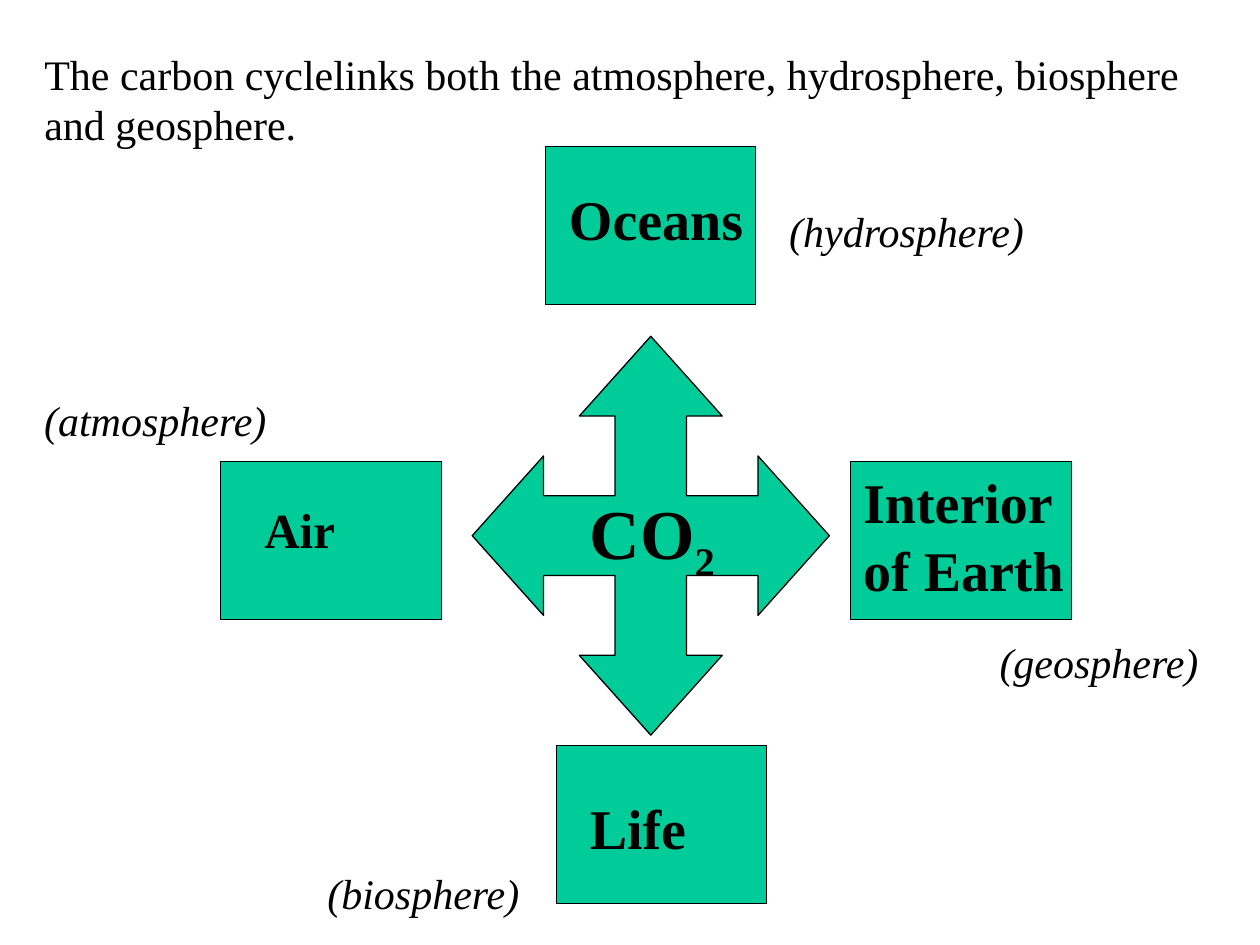
import pptx
import pptx.util
import pptx.dml.color
import pptx.enum.text
from pptx.util import Cm, Pt

COLOURS = {"green": "00CC99", "black": "000000"}
FONT = "Times New Roman"


def paint(shape):
    shape.shadow.inherit = False
    shape.fill.solid()
    shape.fill.fore_color.rgb = pptx.dml.color.RGBColor.from_string(COLOURS["green"])
    shape.line.color.rgb = pptx.dml.color.RGBColor.from_string(COLOURS["black"])
    shape.line.width = Pt(0.75)


def write(box, text, size, bold=False, italic=False):
    """Fill a text box or placeholder with one left-aligned paragraph and return it."""
    frame = box.text_frame
    frame.word_wrap = True
    frame.auto_size = pptx.enum.text.MSO_AUTO_SIZE.NONE
    frame.vertical_anchor = pptx.enum.text.MSO_ANCHOR.TOP
    paragraph = frame.paragraphs[0]
    paragraph.text = text
    paragraph.alignment = pptx.enum.text.PP_ALIGN.LEFT
    paragraph.font.name = FONT
    paragraph.font.size = Pt(size)
    paragraph.font.bold = bold
    paragraph.font.italic = italic
    paragraph.font.color.rgb = pptx.dml.color.RGBColor.from_string(COLOURS["black"])
    return paragraph


presentation = pptx.Presentation()
presentation.slide_width, presentation.slide_height = Cm(25.4), Cm(19.05)
slide = presentation.slides.add_slide(presentation.slide_layouts[5])
shapes = slide.shapes

statement = shapes.title
statement.left, statement.top = Cm(0.64), Cm(0.85)
statement.width, statement.height = Cm(23.92), Cm(2.29)
write(statement, "The carbon cyclelinks both the atmosphere, hydrosphere, "
      "biosphere and geosphere.", 24)

# Reservoirs: left, top, width
for left, top, width in [(4.45, 9.31, 4.45), (11, 2.96, 4.23),
                         (17.15, 9.31, 4.45), (11.22, 15.03, 4.23)]:
    paint(shapes.add_shape(pptx.enum.shapes.MSO_SHAPE.RECTANGLE,
                           Cm(left), Cm(top), Cm(width), Cm(3.18)))

# Reservoir names: text, left, top, width, height, size
for name, left, top, width, height, size in [
        ("Oceans", 11.22, 3.6, 4.23, 1.63, 32),
        ("Air", 5.08, 9.95, 2.96, 1.44, 28),
        ("Life", 11.64, 15.88, 3.18, 1.63, 32),
        ("Interior of Earth", 17.15, 9.31, 4.66, 2.96, 32)]:
    write(shapes.add_textbox(Cm(left), Cm(top), Cm(width), Cm(height)),
          name, size, bold=True)

for sphere, left, top in [("(hydrosphere)", 15.66, 4.02), ("(geosphere)", 19.9, 12.7),
                          ("(biosphere)", 6.35, 17.36), ("(atmosphere)", 0.64, 7.83)]:
    write(shapes.add_textbox(Cm(left), Cm(top), Cm(5.5), Cm(1.27)),
          sphere, 24, italic=True)

# Four-way arrow: the left arm, in fractions of the half size, turned four times
centre_x, centre_y, half_width, half_height = 13.12, 10.8, 3.6, 4.02
arm = [(-0.6, 0.2), (-0.6, 0.4), (-1, 0), (-0.6, -0.4), (-0.6, -0.2), (-0.2, -0.2)]
outline = []
for turn in range(4):
    outline += [(Cm(centre_x + x * half_width), Cm(centre_y + y * half_height))
                for x, y in arm]
    arm = [(-y, x) for x, y in arm]
builder = shapes.build_freeform(*outline[0])
builder.add_line_segments(outline[1:], close=True)
paint(builder.convert_to_shape())

formula = write(shapes.add_textbox(Cm(11.64), Cm(9.74), Cm(3.39), Cm(2.18)),
                "CO", 40, bold=True)
subscript = formula.add_run()
subscript.text = "2"
subscript.font._element.set("baseline", "-25000")

presentation.save("out.pptx")
